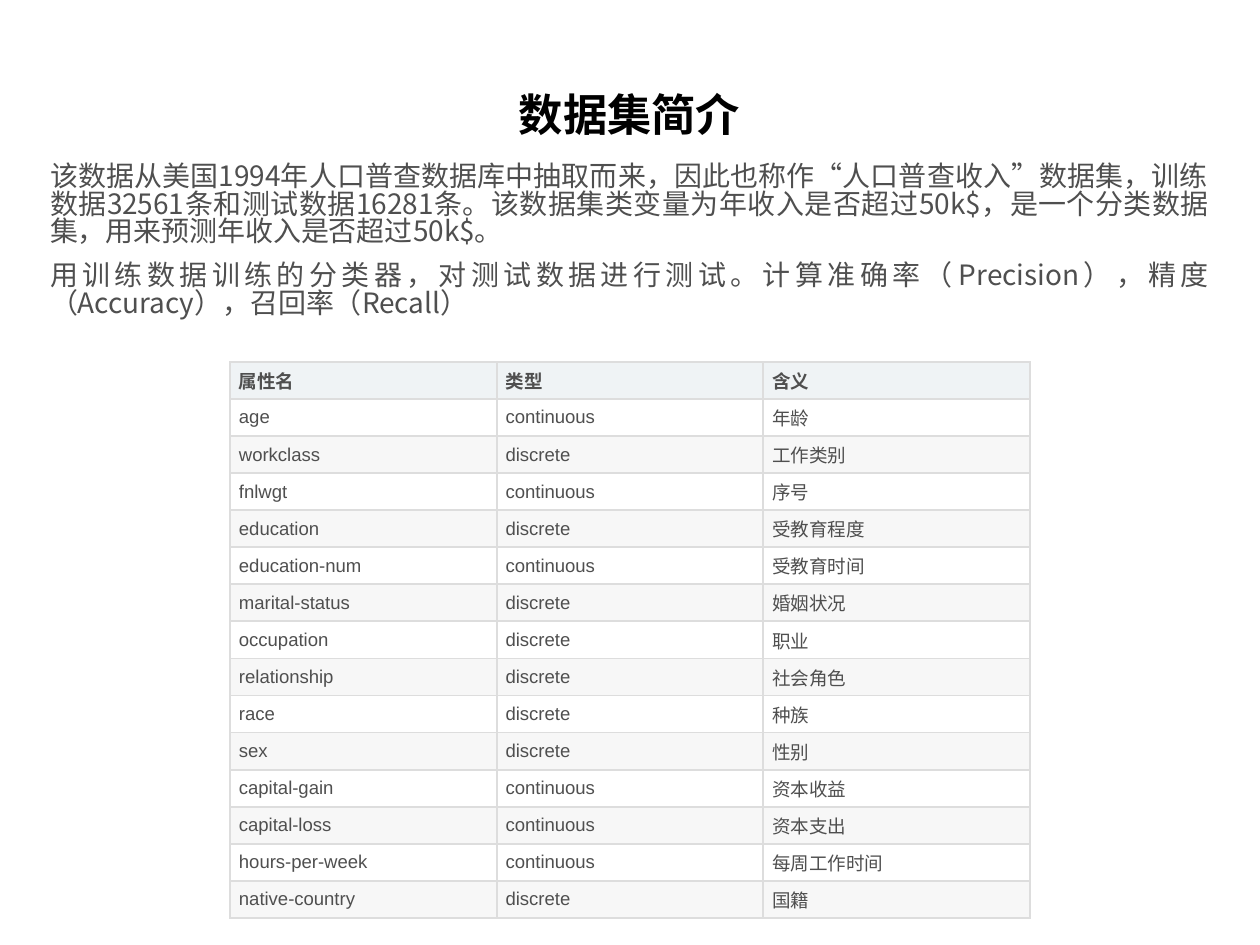
from lxml.etree import SubElement
from pptx import Presentation
from pptx.dml.color import RGBColor
from pptx.enum.text import MSO_ANCHOR, MSO_AUTO_SIZE, PP_ALIGN
from pptx.oxml.ns import qn
from pptx.util import Pt

PIXEL = 914400 // 126
BLACK = RGBColor(0x00, 0x00, 0x00)
GRAY = RGBColor(0x4F, 0x4F, 0x4F)
BORDER = RGBColor(0xDD, 0xDD, 0xDD)
HEADER = RGBColor(0xEF, 0xF3, 0xF5)
WHITE = RGBColor(0xFF, 0xFF, 0xFF)
STRIPE = RGBColor(0xF7, 0xF7, 0xF7)

HEADING = "数据集简介"
INTRODUCTION = [
    "该数据从美国1994年人口普查数据库中抽取而来，因此也称作“人口普查收入”数据集，"
    "训练数据32561条和测试数据16281条。该数据集类变量为年收入是否超过50k$，"
    "是一个分类数据集，用来预测年收入是否超过50k$。",
    "用训练数据训练的分类器，对测试数据进行测试。"
    "计算准确率（Precision），精度（Accuracy），召回率（Recall）",
]
ATTRIBUTES = [
    ("属性名", "类型", "含义"),
    ("age", "continuous", "年龄"),
    ("workclass", "discrete", "工作类别"),
    ("fnlwgt", "continuous", "序号"),
    ("education", "discrete", "受教育程度"),
    ("education-num", "continuous", "受教育时间"),
    ("marital-status", "discrete", "婚姻状况"),
    ("occupation", "discrete", "职业"),
    ("relationship", "discrete", "社会角色"),
    ("race", "discrete", "种族"),
    ("sex", "discrete", "性别"),
    ("capital-gain", "continuous", "资本收益"),
    ("capital-loss", "continuous", "资本支出"),
    ("hours-per-week", "continuous", "每周工作时间"),
    ("native-country", "discrete", "国籍"),
]


def scaled(box):
    """Turn pixel lengths into EMU."""
    return [length * PIXEL for length in box]


def apply(target, values):
    """Set each named format value on the target."""
    for name, value in values.items():
        setattr(target, name, value)


def style_run(run, size, color, bold=False, latin="Arial"):
    """Format a run, with a CJK face for East Asian text."""
    apply(run.font, {"size": Pt(size), "bold": bold, "name": latin})
    run.font.color.rgb = color
    SubElement(run.font._element, qn("a:ea"), typeface="Noto Sans CJK SC")


def fill_placeholder(placeholder, box, paragraphs, frame_format, paragraph_format, run_format):
    """Place a placeholder in its box and write its paragraphs."""
    apply(placeholder, dict(zip(("left", "top", "width", "height"), scaled(box))))
    frame = placeholder.text_frame
    frame.text = "\n".join(paragraphs)
    apply(frame, {"word_wrap": True, "auto_size": MSO_AUTO_SIZE.NONE, **frame_format})
    for paragraph in frame.paragraphs:
        apply(paragraph, paragraph_format)
        properties = paragraph._p.get_or_add_pPr()
        properties.set("marL", "0")
        properties.set("indent", "0")
        SubElement(properties, qn("a:buNone"))
        style_run(paragraph.runs[0], **run_format)


def add_heading(slide, box):
    """Write the slide heading."""
    fill_placeholder(
        slide.shapes.title, box, [HEADING],
        {"vertical_anchor": MSO_ANCHOR.BOTTOM, "margin_left": 6 * PIXEL,
         "margin_right": 6 * PIXEL, "margin_top": 4 * PIXEL, "margin_bottom": 4 * PIXEL},
        {"alignment": PP_ALIGN.CENTER, "line_spacing": 1.2, "space_before": Pt(0)},
        {"size": 25.3, "color": BLACK, "bold": True},
    )


def add_introduction(slide, box):
    """Write the description of the data set."""
    sides = ("left", "right", "top", "bottom")
    fill_placeholder(
        slide.placeholders[1], box, INTRODUCTION,
        {"vertical_anchor": MSO_ANCHOR.MIDDLE, **{f"margin_{side}": 5 * PIXEL for side in sides}},
        {"alignment": PP_ALIGN.JUSTIFY, "line_spacing": 0.83, "space_before": Pt(9)},
        {"size": 16, "color": GRAY, "latin": "Noto Sans CJK SC"},
    )


def border_cell(cell):
    """Draw the four borders of a cell."""
    properties = cell._tc.get_or_add_tcPr()
    for position, side in enumerate(("a:lnL", "a:lnR", "a:lnT", "a:lnB")):
        line = SubElement(properties, qn(side), w=str(Pt(1.2)))
        fill = SubElement(line, qn("a:solidFill"))
        SubElement(fill, qn("a:srgbClr"), val=str(BORDER))
        properties.insert(position, line)


def add_attributes(slide, box):
    """Add the attribute table with a header and striped rows."""
    left, top, width, height = scaled(box)
    table = slide.shapes.add_table(
        len(ATTRIBUTES), len(ATTRIBUTES[0]), left, top, width, height).table
    for row, values in enumerate(ATTRIBUTES):
        color = HEADER if row == 0 else WHITE if row % 2 else STRIPE
        for column, value in enumerate(values):
            cell = table.cell(row, column)
            cell.text = value
            apply(cell, {"vertical_anchor": MSO_ANCHOR.MIDDLE,
                         "margin_left": 9 * PIXEL, "margin_right": 9 * PIXEL,
                         "margin_top": 5 * PIXEL, "margin_bottom": 5 * PIXEL})
            cell.fill.solid()
            cell.fill.fore_color.rgb = color
            style_run(cell.text_frame.paragraphs[0].runs[0], 10.6, GRAY, row == 0)
            border_cell(cell)


def build():
    """Build and save the presentation."""
    presentation = Presentation()
    apply(presentation, dict(zip(("slide_width", "slide_height"), (9144000, 6858000))))
    slide = presentation.slides.add_slide(presentation.slide_layouts[1])
    add_introduction(slide, (45, 144, 1169, 195))
    add_attributes(slide, (230, 362, 800, 556))
    add_heading(slide, (218, 20, 823, 124))
    presentation.save("out.pptx")


build()
